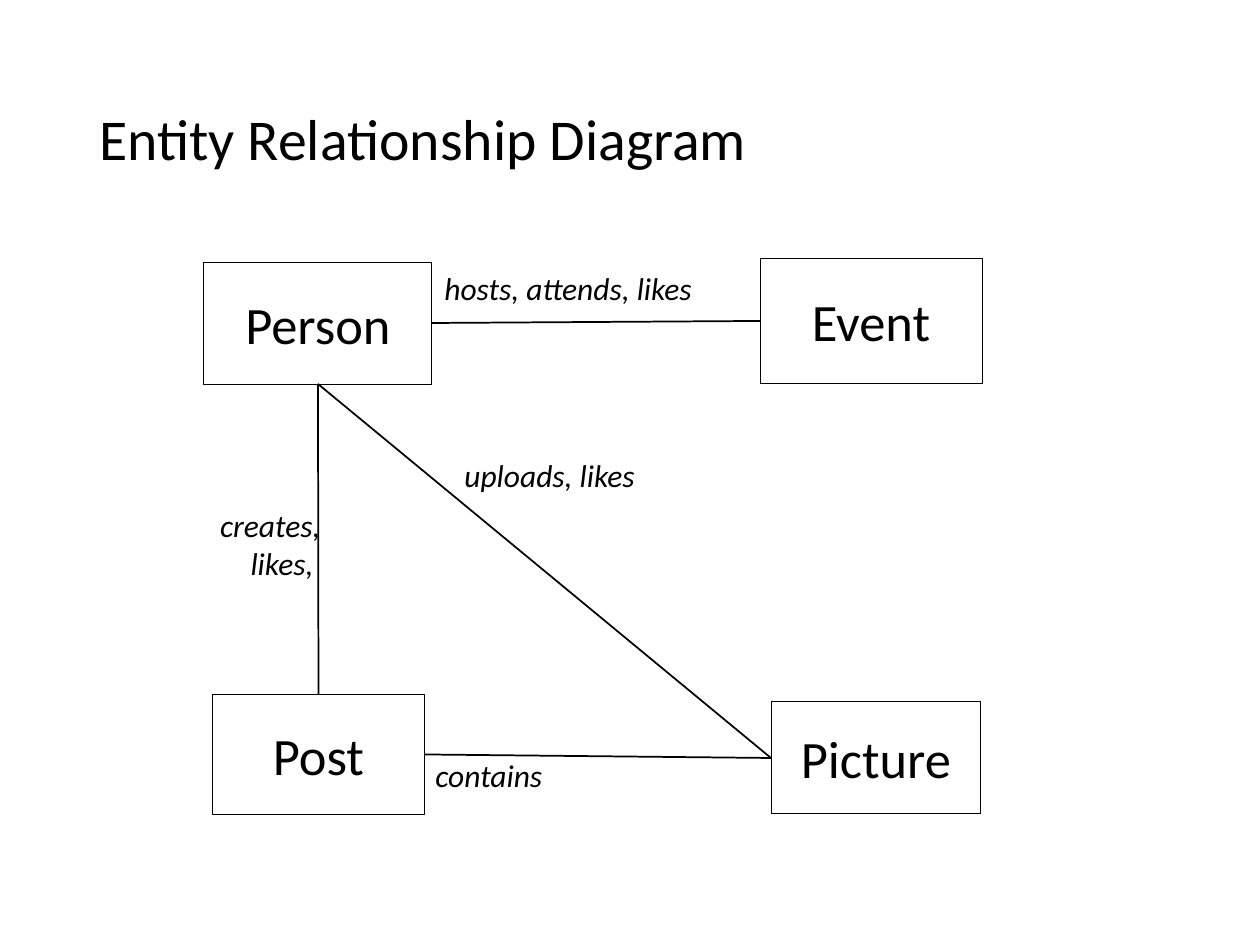
from lxml.etree import SubElement
from pptx import Presentation
from pptx.dml.color import RGBColor
from pptx.enum.shapes import MSO_CONNECTOR, MSO_SHAPE
from pptx.enum.text import MSO_ANCHOR, PP_ALIGN
from pptx.oxml.ns import qn
from pptx.util import Emu, Pt

SCALE = 914400 // 126
COLORS = {"ink": "000000", "paper": "FFFFFF"}
FONT = "Calibri"


def px(*nums):
    return [Emu(round(num * 914400 / 126)) for num in nums]


def color(name):
    return RGBColor.from_string(COLORS[name])


def write(frame, text, size, align=PP_ALIGN.LEFT, italic=False, space=None):
    frame.text = text
    for para in frame.paragraphs:
        para.alignment = align
        para.line_spacing = space
        font = para.font
        font.name, font.size, font.italic = FONT, Pt(size), italic
        font.color.rgb = color("ink")


def add_box(slide, text, area):
    box = slide.shapes.add_shape(MSO_SHAPE.RECTANGLE, *px(*area))
    box.shadow.inherit = False
    box.fill.background()
    box.line.color.rgb = color("ink")
    box.line.width = Pt(0.5)
    box.text_frame.vertical_anchor = MSO_ANCHOR.MIDDLE
    write(box.text_frame, text, 30, PP_ALIGN.CENTER)
    return box


def add_link(slide, start, start_site, end, end_site):
    link = slide.shapes.add_connector(MSO_CONNECTOR.STRAIGHT, 0, 0, 0, 0)
    link.begin_connect(start, start_site)
    link.end_connect(end, end_site)
    link.line.color.rgb = color("ink")
    link.line.width = Pt(1)
    SubElement(link._element.spPr, qn("a:effectLst"))


def add_label(slide, text, area, align=PP_ALIGN.LEFT):
    label = slide.shapes.add_textbox(*px(*area))
    label.text_frame.word_wrap = False
    write(label.text_frame, text, 18, align, italic=True)


def add_title(slide, text, area):
    title = slide.shapes.add_textbox(*px(*area))
    title.text_frame.word_wrap = True
    title.text_frame.vertical_anchor = MSO_ANCHOR.MIDDLE
    write(title.text_frame, text, 33, space=0.9)


def main():
    deck = Presentation()
    deck.slide_width, deck.slide_height = px(1260, 945)
    slide = deck.slides.add_slide(deck.slide_layouts[6])
    slide.background.fill.solid()
    slide.background.fill.fore_color.rgb = color("paper")

    person = add_box(slide, "Person", (204, 262, 228, 122))
    picture = add_box(slide, "Picture", (771, 702, 210, 112))
    post = add_box(slide, "Post", (212, 694, 213, 121))
    event = add_box(slide, "Event", (760, 258, 222, 126))

    top, left, bottom, right = range(4)
    add_link(slide, person, bottom, post, top)
    add_link(slide, person, right, event, left)
    add_link(slide, person, bottom, picture, left)
    add_link(slide, post, right, picture, left)

    add_label(slide, "hosts, attends, likes", (432, 263, 285, 50))
    add_label(slide, "uploads, likes", (452, 450, 207, 50))
    add_label(slide, "creates,\nlikes, ", (197, 500, 136, 89), PP_ALIGN.RIGHT)
    add_label(slide, "contains", (423, 750, 142, 50))
    add_title(slide, "Entity Relationship Diagram", (87, 50, 1086, 183))
    deck.save("out.pptx")


main()
